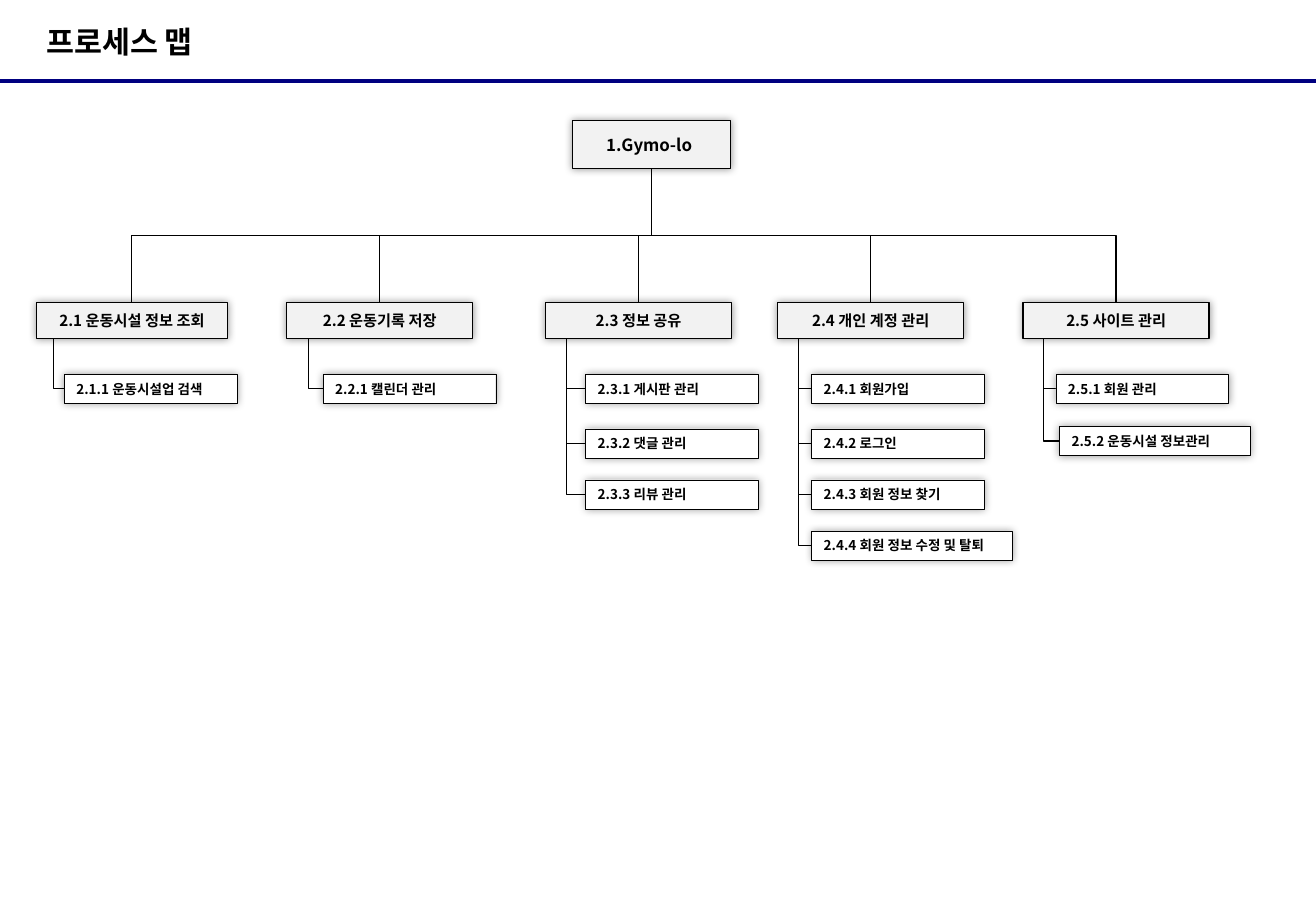
import pptx
import pptx.dml.color
import pptx.enum.shapes
import pptx.enum.text
import pptx.oxml
import pptx.oxml.ns
import pptx.util

Inches = pptx.util.Inches
Pt = pptx.util.Pt
RGBColor = pptx.dml.color.RGBColor
CONNECTOR = pptx.enum.shapes.MSO_CONNECTOR
ALIGN = pptx.enum.text.PP_ALIGN
qn = pptx.oxml.ns.qn

# Content: branch text, left, width, stem x, then leaves as text, left, top, width
TITLE = "프로세스 맵"
ROOT = " 1.Gymo-lo"
ROWS = (3.08, 3.53, 3.95, 4.37)
LEAF_WIDTH = 1.42
BRANCHES = [
    ("2.1 운동시설 정보 조회", 0.3, 1.57, 0.44, [
        ("2.1.1 운동시설업 검색", 0.53, ROWS[0], LEAF_WIDTH)]),
    ("2.2 운동기록 저장", 2.36, 1.53, 2.54, [
        ("2.2.1 캘린더 관리", 2.66, ROWS[0], LEAF_WIDTH)]),
    ("2.3 정보 공유", 4.49, 1.53, 4.66, [
        ("2.3.1 게시판 관리", 4.82, ROWS[0], LEAF_WIDTH),
        ("2.3.2 댓글 관리", 4.82, ROWS[1], LEAF_WIDTH),
        ("2.3.3 리뷰 관리", 4.82, ROWS[2], LEAF_WIDTH)]),
    ("2.4 개인 계정 관리", 6.4, 1.53, 6.57, [
        ("2.4.1 회원가입", 6.68, ROWS[0], LEAF_WIDTH),
        ("2.4.2 로그인", 6.68, ROWS[1], LEAF_WIDTH),
        ("2.4.3 회원 정보 찾기", 6.68, ROWS[2], LEAF_WIDTH),
        ("2.4.4 회원 정보 수정 및 탈퇴", 6.68, ROWS[3], 1.65)]),
    ("2.5 사이트 관리", 8.42, 1.53, 8.59, [
        ("2.5.1 회원 관리", 8.69, ROWS[0], LEAF_WIDTH),
        ("2.5.2 운동시설 정보관리", 8.72, 3.51, 1.57)]),
]

# Style and geometry
BLACK = RGBColor(0x00, 0x00, 0x00)
WHITE = RGBColor(0xFF, 0xFF, 0xFF)
GREY = RGBColor(0xF2, 0xF2, 0xF2)
NAVY = RGBColor(0x00, 0x00, 0x80)
KOREAN_FONT = "Noto Sans CJK KR"
SLIDE_WIDTH, SLIDE_HEIGHT = 10.83, 7.5
RULE_Y = 0.67
ROOT_LEFT, ROOT_TOP, ROOT_WIDTH, ROOT_HEIGHT = 4.71, 0.99, 1.3, 0.4
BRANCH_TOP, BRANCH_HEIGHT, LEAF_HEIGHT = 2.49, 0.3, 0.24

SHADOW = (
    '<a:effectLst xmlns:a="http://schemas.openxmlformats.org/drawingml/2006/main">'
    '<a:outerShdw blurRad="63500" dist="0" dir="0" algn="ctr" rotWithShape="0">'
    '<a:srgbClr val="000000"><a:alpha val="40000"/></a:srgbClr>'
    '</a:outerShdw></a:effectLst>'
)

presentation = pptx.Presentation()
presentation.slide_width = Inches(SLIDE_WIDTH)
presentation.slide_height = Inches(SLIDE_HEIGHT)
slide = presentation.slides.add_slide(presentation.slide_layouts[6])


def write(shape, text, size, font_name, alignment):
    frame = shape.text_frame
    frame.text = text
    frame.word_wrap = True
    frame.vertical_anchor = pptx.enum.text.MSO_ANCHOR.MIDDLE
    paragraph = frame.paragraphs[0]
    paragraph.alignment = alignment
    font = paragraph.runs[0].font
    font.size, font.bold, font.name = Pt(size), True, font_name
    font.color.rgb = BLACK
    east_asian = pptx.oxml.parse_xml(
        '<a:ea xmlns:a="http://schemas.openxmlformats.org/drawingml/2006/main" '
        f'typeface="{KOREAN_FONT}"/>')
    paragraph.runs[0].font._element.append(east_asian)


def add_box(text, left, top, width, height, fill, line_width, size, alignment):
    box = slide.shapes.add_shape(
        pptx.enum.shapes.MSO_SHAPE.RECTANGLE,
        Inches(left), Inches(top), Inches(width), Inches(height))
    box.fill.solid()
    box.fill.fore_color.rgb = fill
    box.line.color.rgb = BLACK
    box.line.width = Pt(line_width)
    box._element.spPr.append(pptx.oxml.parse_xml(SHADOW))
    write(box, text, size, KOREAN_FONT, alignment)
    return box


def add_line(kind, start, end, color, width):
    line = slide.shapes.add_connector(kind, *map(Inches, start + end))
    line.line.color.rgb = color
    line.line.width = Pt(width)
    properties = line._element.spPr
    properties.append(properties.makeelement(qn("a:effectLst"), {}))
    return line


def add_elbow(start, end, preset):
    """Leave start downwards: a bent connector turned by a quarter."""
    run, drop = end[0] - start[0], end[1] - start[1]
    middle_x, middle_y = (start[0] + end[0]) / 2, (start[1] + end[1]) / 2
    left, top = middle_x - drop / 2, middle_y - abs(run) / 2
    elbow = add_line(CONNECTOR.ELBOW, (left, top),
                     (left + drop, top + abs(run)), BLACK, 0.75)
    properties = elbow._element.spPr
    properties.find(qn("a:prstGeom")).set("prst", preset)
    transform = properties.find(qn("a:xfrm"))
    transform.set("rot", str((270 if run > 0 else 90) * 60000))
    if run > 0:
        transform.set("flipH", "1")


# Title and rule
add_line(CONNECTOR.STRAIGHT, (0, RULE_Y), (SLIDE_WIDTH, RULE_Y), NAVY, 2.25)
title = slide.shapes.add_textbox(Inches(0.38), 0, Inches(7.08), Inches(0.68))
write(title, TITLE, 18, "Arial", ALIGN.LEFT)
title_frame = title.text_frame
title_frame.margin_left = title_frame.margin_right = 0
title_frame.margin_top = title_frame.margin_bottom = 0

# Connectors, behind the boxes
root_foot = (ROOT_LEFT + ROOT_WIDTH / 2, ROOT_TOP + ROOT_HEIGHT)
for _, left, width, stem_x, leaves in BRANCHES:
    add_elbow(root_foot, (left + width / 2, BRANCH_TOP), "bentConnector3")
    for _, leaf_left, leaf_top, _ in leaves:
        add_elbow((stem_x, BRANCH_TOP + BRANCH_HEIGHT),
                  (leaf_left, leaf_top + LEAF_HEIGHT / 2), "bentConnector2")

# Root, branches and leaves
root = add_box(ROOT, ROOT_LEFT, ROOT_TOP, ROOT_WIDTH, ROOT_HEIGHT,
               GREY, 0.75, 10, ALIGN.CENTER)
root.text_frame.margin_left = Inches(0.03)
for text, left, width, _, leaves in BRANCHES:
    add_box(text, left, BRANCH_TOP, width, BRANCH_HEIGHT,
            GREY, 0.75, 9, ALIGN.CENTER)
    for leaf_text, leaf_left, leaf_top, leaf_width in leaves:
        add_box(leaf_text, leaf_left, leaf_top, leaf_width, LEAF_HEIGHT,
                WHITE, 0.25, 8, ALIGN.LEFT)

presentation.save("out.pptx")
